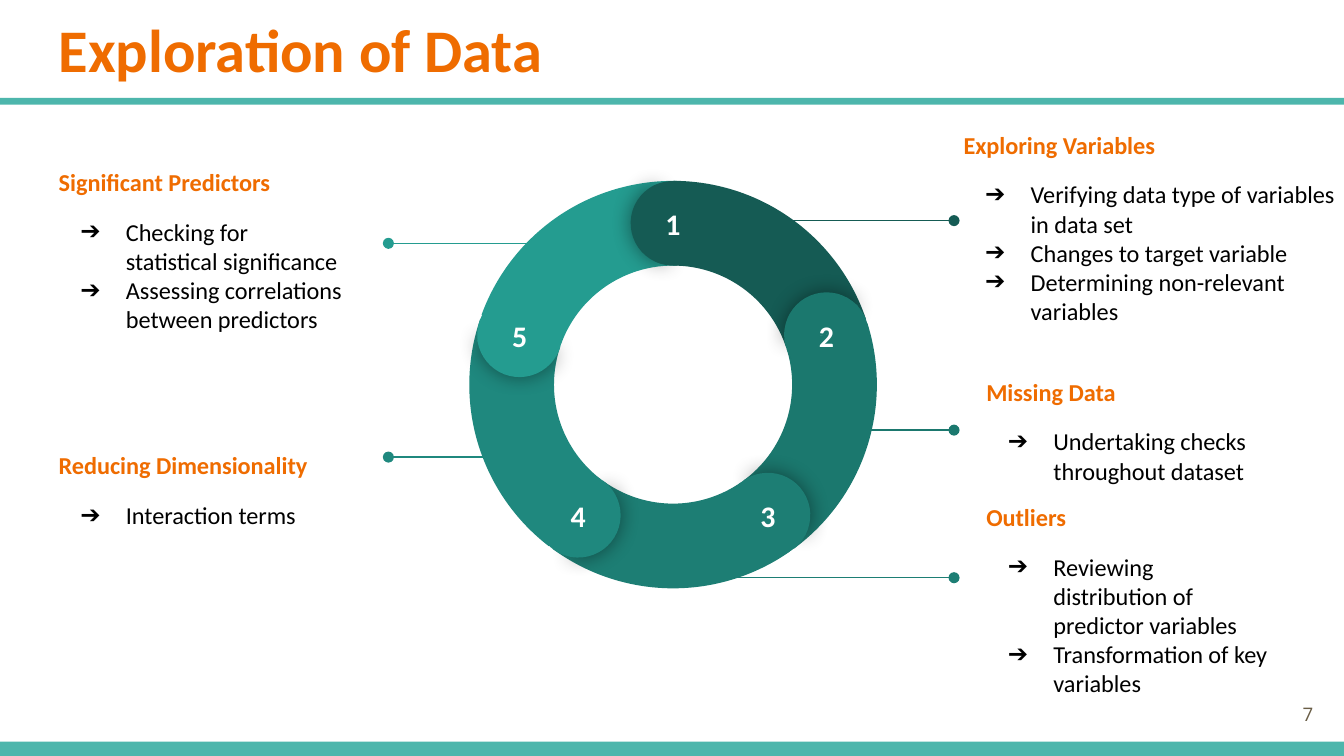
import math

from lxml import etree
from pptx import Presentation
from pptx import util as u
from pptx.dml.color import RGBColor
from pptx.enum import shapes, text
from pptx.oxml import ns

COLORS = {
    "bar": "4DB6AC", "heading": "EF6C00", "body": "000000", "white": "FFFFFF", "page": "695D46",
    1: "155B54", 2: "1B786E", 3: "1D7E74", 4: "1F887E", 5: "249C90",
}
INSET = u.Cm(0.25)


def rgb(key):
    """Return the named colour."""
    return RGBColor.from_string(COLORS[key])


def add_run(paragraph, words, size, color, bold=False, font="Calibri"):
    """Add one formatted run to a paragraph."""
    run = paragraph.add_run()
    run.text = words
    run.font.size, run.font.bold, run.font.name = u.Pt(size), bold, font
    run.font.color.rgb = rgb(color)


def set_frame(frame, anchor):
    """Give a text frame its wrapping, insets and anchor."""
    frame.word_wrap = True
    frame.auto_size = text.MSO_AUTO_SIZE.NONE
    frame.vertical_anchor = anchor
    frame.margin_left = frame.margin_right = frame.margin_top = frame.margin_bottom = INSET
    return frame


def add_text(slide, box, anchor):
    """Add a text box and return its frame."""
    return set_frame(slide.shapes.add_textbox(*map(u.Cm, box)).text_frame, anchor)


def add_solid(slide, kind, box, color, rotation=0, adjustments=()):
    """Add a filled preset shape without outline or shadow."""
    solid = slide.shapes.add_shape(kind, *map(u.Cm, box))
    solid.shadow.inherit = False
    solid.fill.solid()
    solid.fill.fore_color.rgb = rgb(color)
    solid.line.fill.background()
    solid.rotation = rotation % 360
    for index, value in enumerate(adjustments):
        solid.adjustments[index] = value
    return solid


def add_glow(solid):
    """Give a shape a soft shadow on all sides."""
    effects = solid._element.spPr.find(ns.qn("a:effectLst"))
    shadow = etree.SubElement(effects, ns.qn("a:outerShdw"), blurRad=str(u.Pt(11.2)),
                              dist="0", dir="0", algn="ctr", rotWithShape="0")
    black = etree.SubElement(shadow, ns.qn("a:srgbClr"), val=COLORS["body"])
    etree.SubElement(black, ns.qn("a:alpha"), val="43000")


def add_header(slide, box, words):
    """Place the title and the bar beneath it."""
    left, top, width, height = box
    title = slide.shapes.title
    title.left, title.top, title.width, title.height = map(u.Cm, box)
    frame = set_frame(title.text_frame, text.MSO_ANCHOR.TOP)
    frame.paragraphs[0].alignment = text.PP_ALIGN.LEFT
    add_run(frame.paragraphs[0], words, 32.4, "heading", True)
    add_solid(slide, shapes.MSO_SHAPE.RECTANGLE, (0, top + height - 0.08, 25.4, 0.13), "bar")


def add_footer(slide, box, number):
    """Place the bottom bar and the page number above its right end."""
    left, top, width, height = box
    add_solid(slide, shapes.MSO_SHAPE.RECTANGLE, box, "bar")
    frame = add_text(slide, (left + width - 1.85, top - 1.07, 1.52, 1.09), text.MSO_ANCHOR.MIDDLE)
    frame.paragraphs[0].alignment = text.PP_ALIGN.RIGHT
    add_run(frame.paragraphs[0], number, 10, "page", font="Open Sans")


def add_bullet(paragraph):
    """Give a paragraph an arrow bullet with a hanging indent."""
    properties = paragraph._p.get_or_add_pPr()
    properties.set("marL", str(u.Cm(1.27)))
    properties.set("indent", str(u.Cm(-0.86)))
    bullet_color = etree.SubElement(properties, ns.qn("a:buClr"))
    etree.SubElement(bullet_color, ns.qn("a:srgbClr"), val=COLORS["body"])
    etree.SubElement(properties, ns.qn("a:buFont"), typeface="Calibri")
    etree.SubElement(properties, ns.qn("a:buChar"), char="➔")


def add_callout(slide, box, step, leader, heading, points):
    """Place a heading with its points, and the leader line from the ring."""
    start, end, height = leader
    line = slide.shapes.add_connector(
        shapes.MSO_CONNECTOR.STRAIGHT, *map(u.Cm, (start, height, end, height)))
    line.line.color.rgb, line.line.width = rgb(step), u.Pt(0.75)
    etree.SubElement(line.line._get_or_add_ln(), ns.qn("a:tailEnd"), type="oval")
    etree.SubElement(line._element.spPr, ns.qn("a:effectLst"))

    frame = add_text(slide, box, text.MSO_ANCHOR.MIDDLE)
    add_run(frame.paragraphs[0], heading, 13, "heading", True)
    for index, point in enumerate(points):
        paragraph = frame.add_paragraph()
        add_bullet(paragraph)
        paragraph.space_before = u.Pt(0 if index else 11)
        add_run(paragraph, point, 13, "body")


def add_ring(slide, box, steps=5):
    """Place the ring of arcs with a numbered round head on each."""
    left, top, size, _ = box
    thickness = 0.208
    head = thickness * size
    radius = (size - head) / 2
    turn = 360 / steps
    for index in range(steps):
        add_solid(slide, shapes.MSO_SHAPE.BLOCK_ARC, box, index + 1, 60 + 72.5 * index,
                  (126.02, 168.68, thickness))
    for index in range(steps):
        angle = math.radians(turn * index)
        x = left + size / 2 + radius * math.sin(angle)
        y = top + size / 2 - radius * math.cos(angle)
        head_box = (x - head / 2, y - head / 2, head, head)
        back = add_solid(slide, shapes.MSO_SHAPE.PIE, head_box, index + 1,
                         355.5 + turn * index, (61.9, 149.96))
        add_glow(back)
        add_solid(slide, shapes.MSO_SHAPE.PIE, head_box, index + 1,
                  175 + turn * index, (40.28, 171.84))
        frame = add_text(slide, (x - 0.71, y - 0.58, 1.42, 0.74), text.MSO_ANCHOR.TOP)
        frame.paragraphs[0].alignment = text.PP_ALIGN.CENTER
        add_run(frame.paragraphs[0], str(index + 1), 16, "white", True)


def main():
    """Build and save the slide."""
    deck = Presentation()
    deck.slide_width, deck.slide_height = u.Cm(25.4), u.Cm(14.29)
    slide = deck.slides.add_slide(deck.slide_layouts[5])
    add_header(slide, (0.86, -0.03, 23.67, 1.96), "Exploration of Data")
    callouts = [
        ((17.96, 3.02, 7.57, 2.57), 1, (14.48, 18.03, 4.17), "Exploring Variables",
         ["Verifying data type of variables in data set", "Changes to target variable",
          "Determining non-relevant variables"]),
        ((18.39, 6.86, 5.89, 2.57), 2, (15.6, 18.03, 8.13), "Missing Data",
         ["Undertaking checks throughout dataset"]),
        ((18.39, 10.06, 5.89, 2.57), 3, (12.93, 18.03, 10.92), "Outliers",
         ["Reviewing distribution of predictor variables", "Transformation of key variables"]),
        ((0.86, 7.98, 5.89, 2.57), 4, (9.93, 7.34, 8.64), "Reducing Dimensionality",
         ["Interaction terms"]),
        ((0.86, 3.45, 5.89, 2.57), 5, (10.74, 7.34, 4.6), "Significant Predictors",
         ["Checking for statistical significance",
          "Assessing correlations between predictors"]),
    ]
    for callout in callouts:
        add_callout(slide, *callout)
    add_ring(slide, (8.87, 3.42, 7.7, 7.7))
    add_footer(slide, (0, 14.02, 25.4, 0.27), "7")
    deck.save("out.pptx")


if __name__ == "__main__":
    main()
